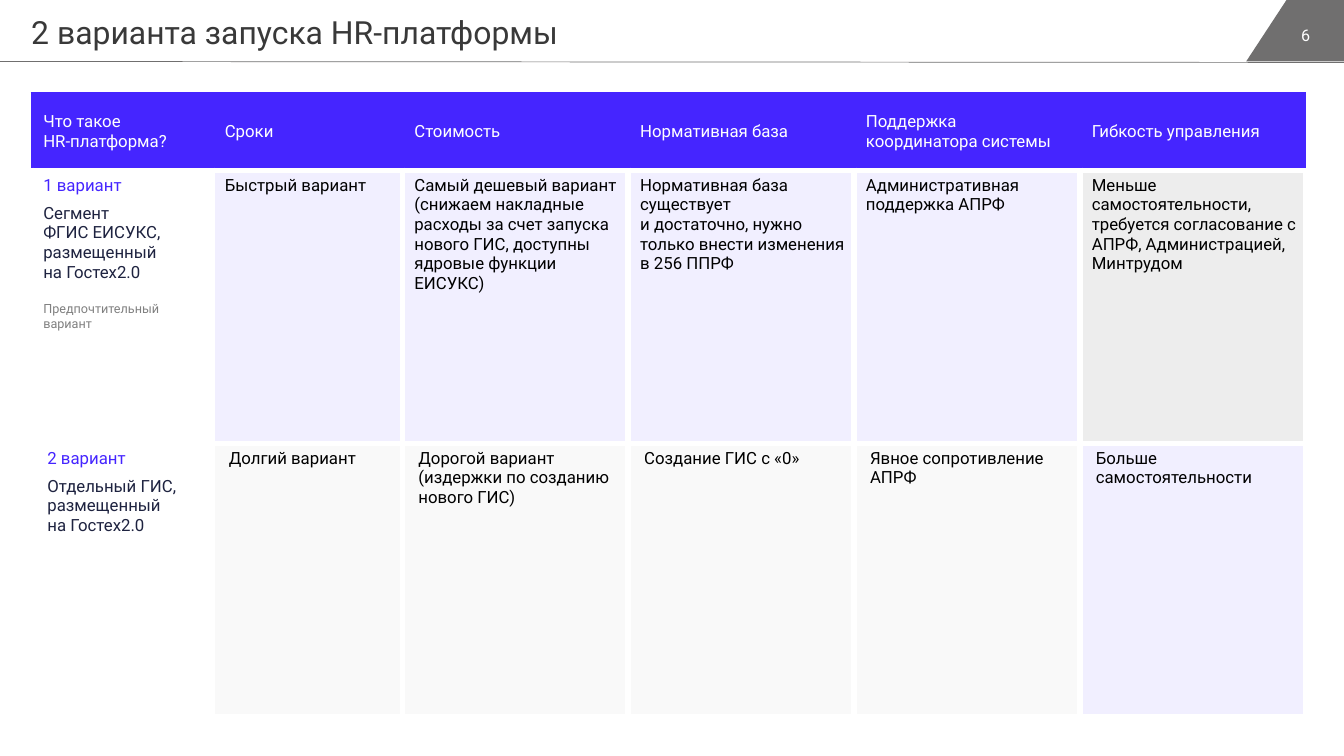
from copy import deepcopy
from dataclasses import dataclass

from lxml.etree import SubElement
from pptx import Presentation
from pptx.dml.color import RGBColor
from pptx.enum.shapes import MSO_CONNECTOR as Connector
from pptx.enum.text import MSO_ANCHOR as Anchor, MSO_AUTO_SIZE as AutoSize, PP_ALIGN as Align
from pptx.oxml.ns import qn
from pptx.util import Inches, Pt


@dataclass(frozen=True)
class Theme:
    font: str = "Roboto"
    violet: str = "4525FF"
    white: str = "FFFFFF"
    grey: str = "706F6F"
    heading: str = "393939"
    navy: str = "1E2340"
    black: str = "000000"
    charcoal: str = "404040"
    muted: str = "808080"
    title_size: float = 22.8
    body_size: float = 12
    number_size: float = 11.5
    note_size: float = 9
    gap_width: float = 4.48
    edge_width: float = 0.96


THEME = Theme()


@dataclass(frozen=True)
class Line:
    text: str
    color: str = THEME.black
    size: float = THEME.body_size
    before: float = 0
    after: float = 0


@dataclass(frozen=True)
class Fill:
    color: str
    opacity: int = 100


@dataclass(frozen=True)
class CellData:
    lines: tuple[Line, ...]
    fill: Fill | None = None


HEADER = Fill(THEME.violet)
STRONG = Fill(THEME.violet, 7)
WEAK = Fill(THEME.charcoal, 9)
PALE = Fill(THEME.charcoal, 3)


def header(*texts: str) -> CellData:
    return CellData(tuple(Line(text, THEME.white) for text in texts), HEADER)


def option(name: str, description: str, *notes: Line) -> CellData:
    return CellData((Line(name, THEME.violet, after=6), Line(description, THEME.navy), *notes))


def answer(text: str, fill: Fill) -> CellData:
    return CellData((Line(text),), fill)


COLUMN_WIDTHS = (1.8, 1.88, 2.24, 2.24, 2.24, 2.24)
ROW_HEIGHTS = (0.77, 2.71, 2.71)
LEFT_MARGINS = (0.12, 0.12, 0.16)
ROWS = (
    (
        header("Что такое\nHR-платформа?"),
        header("Сроки"),
        header("Стоимость"),
        header("Нормативная база"),
        header("Поддержка", "координатора системы"),
        header("Гибкость управления"),
    ),
    (
        option("1 вариант", "Сегмент\nФГИС ЕИСУКС, размещенный\nна Гостех2.0",
               Line("Предпочтительный вариант", THEME.muted, THEME.note_size, before=14)),
        answer("Быстрый вариант", STRONG),
        answer("Самый дешевый вариант (снижаем накладные расходы за счет запуска "
               "нового ГИС, доступны ядровые функции ЕИСУКС)", STRONG),
        answer("Нормативная база существует\nи достаточно, нужно только внести "
               "изменения в 256 ППРФ", STRONG),
        answer("Административная поддержка АПРФ", STRONG),
        answer("Меньше самостоятельности, требуется согласование с АПРФ, "
               "Администрацией, Минтрудом", WEAK),
    ),
    (
        option("2 вариант", "Отдельный ГИС, размещенный\nна Гостех2.0"),
        answer("Долгий вариант", PALE),
        answer("Дорогой вариант (издержки по созданию нового ГИС)", PALE),
        answer("Создание ГИС с «0»", PALE),
        answer("Явное сопротивление АПРФ", PALE),
        answer("Больше самостоятельности", STRONG),
    ),
)


def rgb(color: str) -> RGBColor:
    return RGBColor.from_string(color)


def write(para, text: str, *, color: str, size: float, align=Align.LEFT,
          before: float = 0, after: float = 0) -> None:
    para.alignment = align
    para.space_before, para.space_after = Pt(before), Pt(after)
    for index, part in enumerate(text.split("\n")):
        if index:
            para.add_line_break()
        span = para.add_run()
        span.text = part
        span.font.name, span.font.size = THEME.font, Pt(size)
        span.font.color.rgb = rgb(color)
    # Line breaks take the size of the text around them
    for line_break in para._p.findall(qn("a:br")):
        line_break.append(deepcopy(para.runs[0]._r.rPr))


def set_border(cell, side: str, color: str | None, width: float) -> None:
    line = SubElement(cell._tc.get_or_add_tcPr(), qn(f"a:ln{side}"), w=str(Pt(width)))
    if color is None:
        SubElement(line, qn("a:noFill"))
    else:
        SubElement(SubElement(line, qn("a:solidFill")), qn("a:srgbClr"), val=color)


def border_cell(cell, row: int, column: int) -> None:
    last = len(COLUMN_WIDTHS) - 1
    for side in "LRTB":
        color, width = THEME.white, THEME.gap_width
        if row == 0 and side != "B":
            outer = side == "T" or (side, column) in (("L", 0), ("R", last))
            color, width = (THEME.violet if outer else None), THEME.edge_width
        set_border(cell, side, color, width)


def fill_cell(cell, fill: Fill | None) -> None:
    if fill is None:
        cell.fill.background()
        return
    cell.fill.solid()
    cell.fill.fore_color.rgb = rgb(fill.color)
    if fill.opacity < 100:
        color = cell._tc.tcPr.find(qn("a:solidFill"))[0]
        SubElement(color, qn("a:alpha"), val=str(fill.opacity * 1000))


def draw_header_bar(page) -> None:
    rule = page.shapes.add_connector(Connector.STRAIGHT, 0, Inches(0.61), Inches(13.33), Inches(0.62))
    rule.line.color.rgb, rule.line.width = rgb(THEME.grey), Pt(0.5)
    SubElement(rule._element.spPr, qn("a:effectLst"))

    outline = page.shapes.build_freeform(Inches(12.76), 0)
    corners = ((13.33, 0), (13.33, 0.61), (12.36, 0.61))
    outline.add_line_segments([(Inches(x), Inches(y)) for x, y in corners], close=True)
    tab = outline.convert_to_shape()
    tab.shadow.inherit = False
    tab.fill.solid()
    tab.fill.fore_color.rgb = rgb(THEME.grey)
    tab.line.fill.background()

    box = page.shapes.add_textbox(Inches(12.65), Inches(0.15), Inches(0.6), Inches(0.4)).text_frame
    box.word_wrap, box.vertical_anchor = True, Anchor.MIDDLE
    write(box.paragraphs[0], "6", color=THEME.white, size=THEME.number_size, align=Align.CENTER)


def draw_title(page, text: str) -> None:
    title = page.shapes.title
    title.left, title.top, title.width, title.height = map(Inches, (0.31, 0.12, 7.72, 0.38))
    box = title.text_frame
    box.margin_left = box.margin_right = box.margin_top = box.margin_bottom = 0
    box.word_wrap, box.auto_size, box.vertical_anchor = True, AutoSize.NONE, Anchor.TOP
    write(box.paragraphs[0], text, color=THEME.heading, size=THEME.title_size)


def draw_table(page) -> None:
    table = page.shapes.add_table(len(ROWS), len(COLUMN_WIDTHS), Inches(0.31), Inches(0.92),
                                  Inches(sum(COLUMN_WIDTHS)), Inches(sum(ROW_HEIGHTS))).table
    table.first_row = table.horz_banding = False
    for column, width in zip(table.columns, COLUMN_WIDTHS):
        column.width = Inches(width)
    for row, height in zip(table.rows, ROW_HEIGHTS):
        row.height = Inches(height)
    for r, row_data in enumerate(ROWS):
        for c, data in enumerate(row_data):
            cell = table.cell(r, c)
            cell.margin_left, cell.margin_right = Inches(LEFT_MARGINS[r]), Inches(0.08)
            cell.margin_top = cell.margin_bottom = Inches(0.05)
            cell.vertical_anchor = Anchor.TOP if r else Anchor.MIDDLE
            border_cell(cell, r, c)
            fill_cell(cell, data.fill)
            box = cell.text_frame
            for index, line in enumerate(data.lines):
                para = box.add_paragraph() if index else box.paragraphs[0]
                write(para, line.text, color=line.color, size=line.size,
                      before=line.before, after=line.after)


def main() -> None:
    deck = Presentation()
    deck.slide_width, deck.slide_height = Inches(13.33), Inches(7.5)
    page = deck.slides.add_slide(deck.slide_layouts[5])
    draw_header_bar(page)
    draw_title(page, "2 варианта запуска HR-платформы")
    draw_table(page)
    deck.save("out.pptx")


if __name__ == "__main__":
    main()
